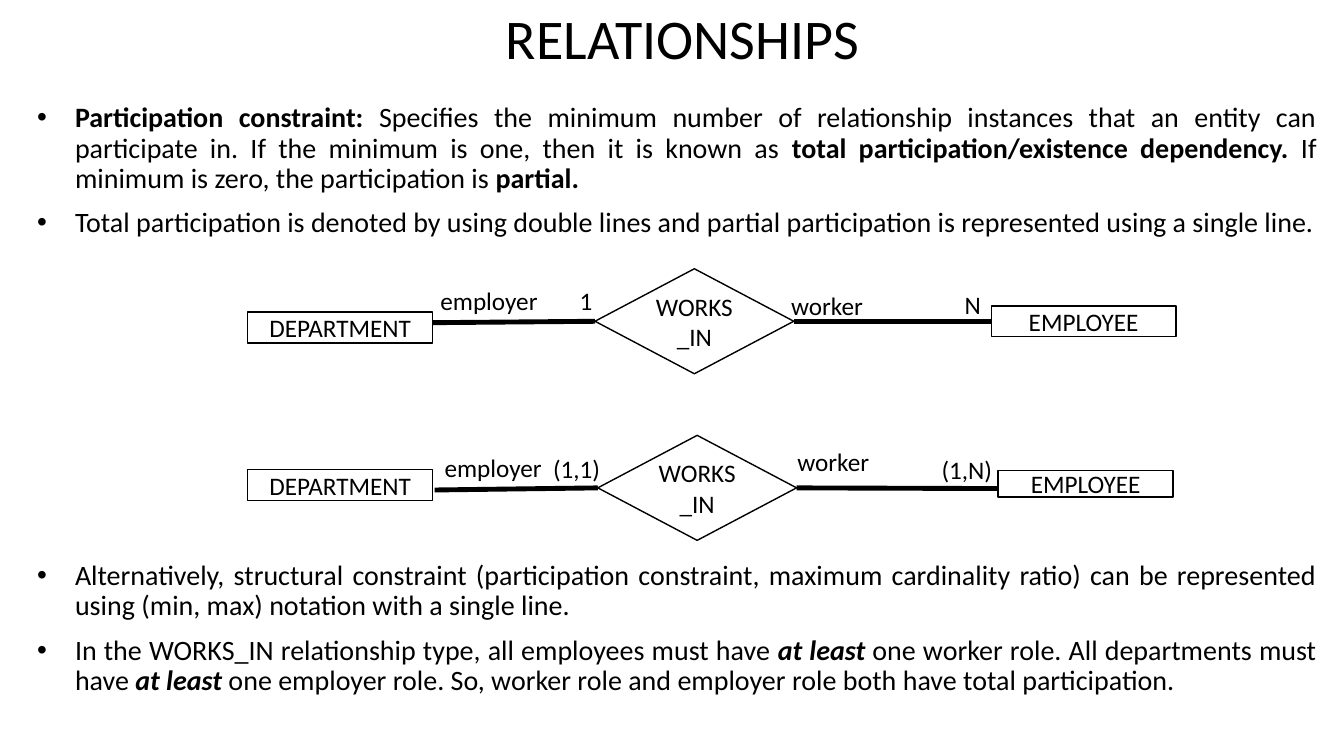
import lxml.etree
import pptx
import pptx.util
import pptx.oxml.ns
import pptx.dml.color
import pptx.enum.shapes
import pptx.enum.text

Pt = pptx.util.Pt
SHAPE = pptx.enum.shapes.MSO_SHAPE
ALIGN = pptx.enum.text.PP_ALIGN
ANCHOR = pptx.enum.text.MSO_ANCHOR
BLACK = pptx.dml.color.RGBColor(0, 0, 0)
WHITE = pptx.dml.color.RGBColor(255, 255, 255)
LEFT, RIGHT = 1, 3

BOLD = {"bold": True}
STRONG = {"bold": True, "italic": True}
RULES = [
    [("Participation constraint:", BOLD),
     (" Specifies the minimum number of relationship instances that an entity "
      "can participate in. If the minimum is one, then it is known as ", {}),
     ("total participation/existence dependency. ", BOLD),
     ("If minimum is zero, the participation is ", {}),
     ("partial.", BOLD)],
    [("Total participation is denoted by using double lines and partial "
      "participation is represented using a single line.", {})],
]
NOTES = [
    [("Alternatively, structural constraint (participation constraint, maximum "
      "cardinality ratio) can be represented using (min, max) notation with a "
      "single line.", {})],
    [("In the WORKS_IN relationship type, all employees must have ", {}),
     ("at least ", STRONG),
     ("one worker role. All departments must have ", {}),
     ("at least", STRONG),
     (" one employer role. So, worker role and employer role both have total "
      "participation.", {})],
]

# Boxes are left, top, width, height; a loose end is a point, None joins.
ROWS = [
    {"dept": (177, 223, 132, 22), "link": (425, 192, 142, 75),
     "staff": (708, 218.5, 132, 22), "start": (309, 230.5), "end": None,
     "labels": [("employer", 307.5, 200, 158), ("1", 407, 200, 39),
                ("worker", 558, 203.5, 158), ("N", 682, 203, 36)]},
    {"dept": (177, 335.5, 132, 22), "link": (427, 311, 142, 75),
     "staff": (713, 336, 125, 19), "start": (310.5, 350), "end": (713, 349),
     "labels": [("employer", 310.5, 319.5, 158), ("(1,1)", 388, 320.5, 53),
                ("worker", 562.5, 315.5, 158), ("(1,N)", 665.5, 321, 63)]},
]


def put(item, values):
    """Set each named attribute of item."""
    for name, value in values.items():
        setattr(item, name, value)


def add_tag(owner, tag, **values):
    """Append an XML child with the given attributes."""
    lxml.etree.SubElement(owner, pptx.oxml.ns.qn(tag), values)


def add_run(para, text, size, style):
    run = para.add_run()
    run.text = text
    put(run.font, {"name": "Calibri", "size": Pt(size), **style})
    run.font.color.rgb = BLACK


def add_text(slide, box, text, size, **frame):
    item = slide.shapes.add_textbox(*map(Pt, box))
    put(item.text_frame, {"word_wrap": True, **frame})
    para = item.text_frame.paragraphs[0]
    add_run(para, text, size, {})
    return para


def add_bullets(slide, box, items):
    frame = slide.shapes.add_textbox(*map(Pt, box)).text_frame
    frame.word_wrap = True
    for index, runs in enumerate(items):
        para = frame.add_paragraph() if index else frame.paragraphs[0]
        put(para, {"alignment": ALIGN.JUSTIFY, "line_spacing": 0.9,
                   "space_before": Pt(10)})
        props = para._p.get_or_add_pPr()
        props.set("marL", str(int(Pt(27))))
        props.set("indent", str(int(Pt(-27))))
        add_tag(props, "a:buFont", typeface="Arial")
        add_tag(props, "a:buChar", char="•")
        for text, style in runs:
            add_run(para, text, 20, style)


def add_node(slide, kind, box, text):
    node = slide.shapes.add_shape(kind, *map(Pt, box))
    node.shadow.inherit = False
    node.fill.solid()
    node.fill.fore_color.rgb = WHITE
    node.line.color.rgb = BLACK
    node.line.width = Pt(1)
    put(node.text_frame, {"word_wrap": True, "vertical_anchor": ANCHOR.MIDDLE})
    para = node.text_frame.paragraphs[0]
    para.alignment = ALIGN.CENTER
    add_run(para, text, 18, {})
    return node


def add_line(slide, start, end):
    kind = pptx.enum.shapes.MSO_CONNECTOR.STRAIGHT
    line = slide.shapes.add_connector(kind, *map(Pt, start + end))
    line.line.color.rgb = BLACK
    line.line.width = Pt(3.5)
    add_tag(line._element.spPr, "a:effectLst")
    return line


def add_row(slide, row):
    """Draw two entities joined through their relationship diamond."""
    add_node(slide, SHAPE.RECTANGLE, row["dept"], "DEPARTMENT")
    staff = add_node(slide, SHAPE.RECTANGLE, row["staff"], "EMPLOYEE")
    link = add_node(slide, SHAPE.DIAMOND, row["link"], "WORKS_IN")
    left, top, width, height = row["link"]
    middle = top + height / 2

    line = add_line(slide, row["start"], (left, middle))
    line.end_connect(link, LEFT)
    end = row["end"] or (row["staff"][0], middle)
    line = add_line(slide, (left + width, middle), end)
    line.begin_connect(link, RIGHT)
    if row["end"] is None:
        line.end_connect(staff, LEFT)

    for text, x, y, wide in row["labels"]:
        add_text(slide, (x, y, wide, 29), text, 18)


def main():
    deck = pptx.Presentation()
    put(deck, {"slide_width": Pt(960), "slide_height": Pt(540)})
    slide = deck.slides.add_slide(deck.slide_layouts[6])
    title = add_text(slide, (91.5, 0, 792, 54.5), "RELATIONSHIPS", 40,
                     vertical_anchor=ANCHOR.BOTTOM)
    put(title, {"alignment": ALIGN.CENTER, "line_spacing": 0.9})
    add_bullets(slide, (19.5, 70.5, 928, 110), RULES)
    for row in ROWS:
        add_row(slide, row)
    add_bullets(slide, (19.5, 397.5, 928, 110), NOTES)
    deck.save("out.pptx")


if __name__ == "__main__":
    main()
